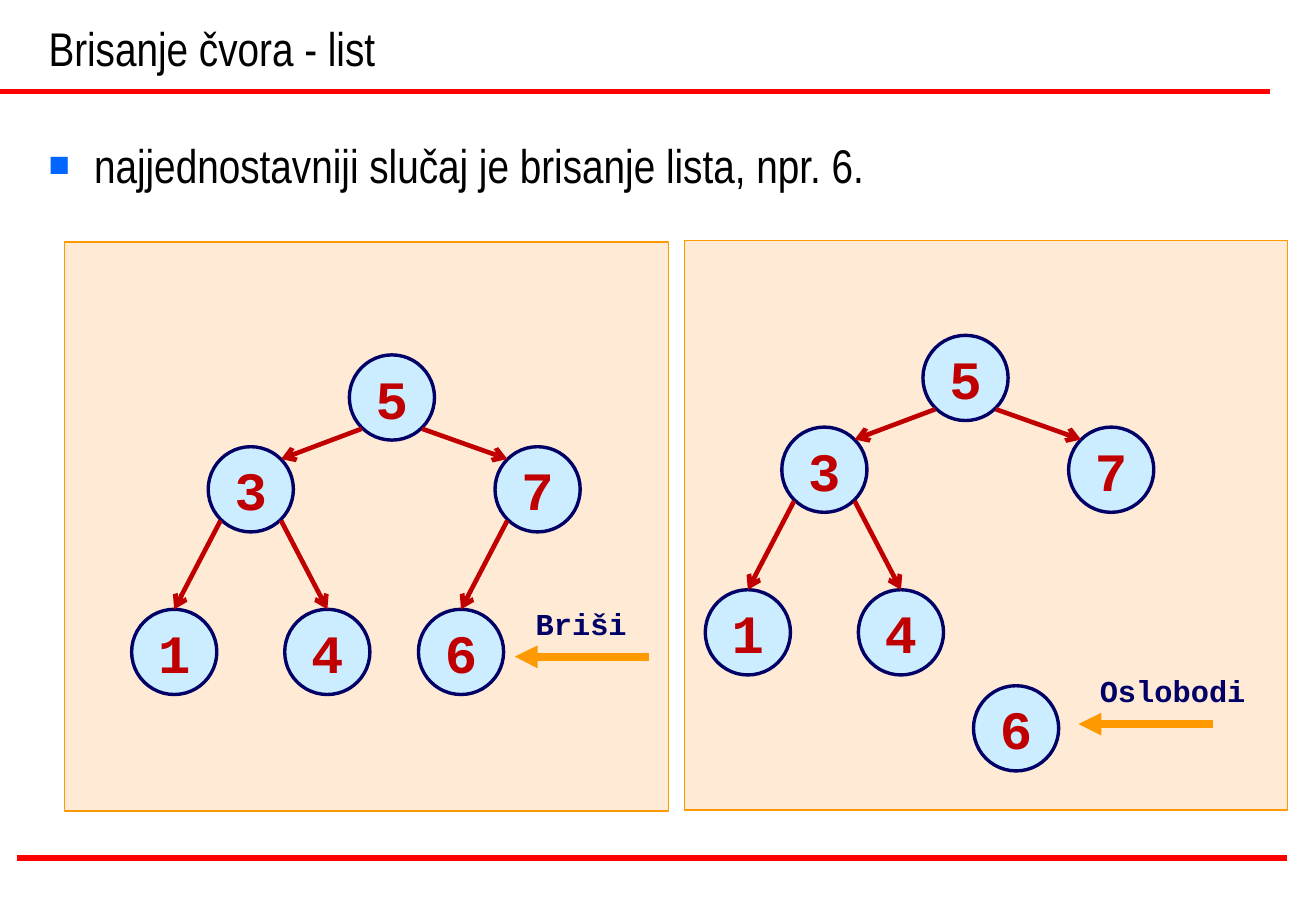
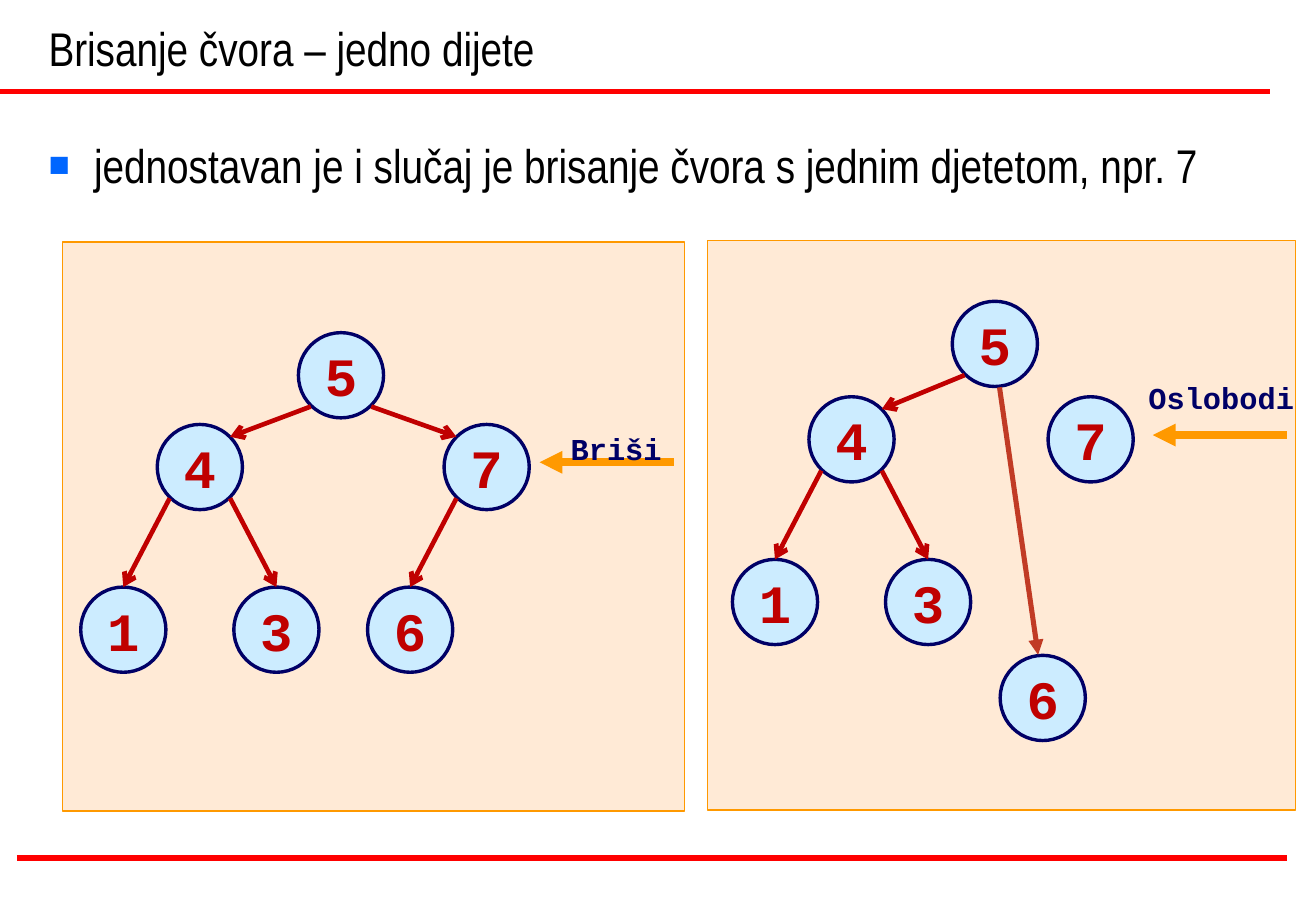
from lxml import etree
from pptx import Presentation
from pptx.dml.color import RGBColor
from pptx.enum.shapes import MSO_CONNECTOR, MSO_SHAPE
from pptx.enum.text import MSO_ANCHOR, PP_ALIGN
from pptx.oxml.ns import qn
from pptx.util import Pt

RECTANGLE, OVAL = MSO_SHAPE.RECTANGLE, MSO_SHAPE.OVAL
STRAIGHT = MSO_CONNECTOR.STRAIGHT
TOP, MIDDLE, BOTTOM = MSO_ANCHOR.TOP, MSO_ANCHOR.MIDDLE, MSO_ANCHOR.BOTTOM
CENTER = PP_ALIGN.CENTER

BLACK = RGBColor(0x00, 0x00, 0x00)
RULE_RED = RGBColor(0xFF, 0x00, 0x00)
EDGE_RED = RGBColor(0xC0, 0x00, 0x00)
RELINK_RED = RGBColor(0xC1, 0x3B, 0x25)
NAVY = RGBColor(0x00, 0x00, 0x66)
NODE_BLUE = RGBColor(0xCC, 0xEC, 0xFF)
PEACH = RGBColor(0xFF, 0xCC, 0x99)
ORANGE = RGBColor(0xFF, 0x99, 0x00)
BULLET_BLUE = "0066FF"
HEADING_FONT, CODE_FONT = "Arial Narrow", "Courier New"

SLIDE_W, SLIDE_H = 780.48, 540
RULES = [(0, 54.4), (10, 508.6)]
RULE_LENGTH = 753.2
PANEL_H = 337.4
NODE = 50.5
MARKER_LENGTH = 79.5

# Offsets from a parent node to its child
LEFT, RIGHT = (-83.7, 54.4), (86.4, 54.4)
LEAF_LEFT, LEAF_RIGHT = (-45.4, 96.4), (45.4, 96.4)

# Node: label, parent, offset from parent, linked to parent.
# Marker: text, tip of its arrow, top left of the text.
SLIDES = [
    {
        "title": "Brisanje čvora - list",
        "bullet": "najjednostavniji slučaj je brisanje lista, npr. 6.",
        "panels": [
            {
                "box": (38.4, 143.4, 358), "root": ("5", 207.2, 210.4),
                "nodes": [("3", "5", LEFT, True), ("7", "5", RIGHT, True),
                          ("1", "3", LEAF_LEFT, True), ("4", "3", LEAF_RIGHT, True),
                          ("6", "7", LEAF_LEFT, True)],
                "marker": ("Briši", (305.3, 389.3), (310.6, 355.3)),
            },
            {
                "box": (406, 142.7, 357.7), "root": ("5", 547.4, 198.8),
                "nodes": [("3", "5", LEFT, True), ("7", "5", RIGHT, True),
                          ("1", "3", LEAF_LEFT, True), ("4", "3", LEAF_RIGHT, True),
                          ("6", "5", (30, 207.7), False)],
                "marker": ("Oslobodi", (639.7, 429.2), (645.2, 394.8)),
            },
        ],
    },
    {
        "title": "Brisanje čvora – jedno dijete",
        "bullet": "jednostavan je i slučaj je brisanje čvora s jednim djetetom, npr. 7",
        "panels": [
            {
                "box": (37, 143.4, 369), "root": ("5", 177, 197.2),
                "nodes": [("4", "5", LEFT, True), ("7", "5", RIGHT, True),
                          ("1", "4", LEAF_LEFT, True), ("3", "4", LEAF_RIGHT, True),
                          ("6", "7", LEAF_LEFT, True)],
                "marker": ("Briši", (320, 274), (331.3, 251.3)),
            },
            {
                "box": (419.8, 142.7, 348.5), "root": ("5", 564.8, 178.6),
                "nodes": [("4", "5", (-85, 56.6), True), ("7", "5", (56.8, 56.6), False),
                          ("1", "4", LEAF_LEFT, True), ("3", "4", LEAF_RIGHT, True),
                          ("6", "5", (28.4, 209.9), False)],
                "marker": ("Oslobodi", (683.7, 257.9), (674, 221.3)),
                "relink": ((592.8, 229.6), (615.7, 388.2)),
            },
        ],
    },
]


def write(frame, text, font_name, size, color, bold=False, anchor=TOP):
    frame.vertical_anchor = anchor
    paragraph = frame.paragraphs[0]
    paragraph.text = text
    font = paragraph.font
    font.name, font.size, font.bold = font_name, Pt(size), bold
    font.color.rgb = color
    return paragraph


def add_text_frame(slide, box, wrap=True):
    frame = slide.shapes.add_textbox(*map(Pt, box)).text_frame
    frame.word_wrap = wrap
    return frame


def add_line(slide, start, end, color, width, head=None):
    line = slide.shapes.add_connector(STRAIGHT, *map(Pt, (*start, *end)))
    line.line.color.rgb = color
    line.line.width = Pt(width)
    properties = line._element.spPr
    if head:
        etree.SubElement(properties.find(qn("a:ln")), qn("a:tailEnd"), type=head)
    etree.SubElement(properties, qn("a:effectLst"))


def add_outlined(slide, preset, box, fill, outline, width):
    shape = slide.shapes.add_shape(preset, *map(Pt, box))
    shape.shadow.inherit = False
    shape.fill.solid()
    shape.fill.fore_color.rgb = fill
    shape.line.color.rgb = outline
    shape.line.width = Pt(width)
    return shape


def add_bullet(paragraph):
    properties = paragraph._p.get_or_add_pPr()
    properties.set("marL", str(Pt(27)))
    properties.set("indent", str(-Pt(27)))
    color = etree.SubElement(properties, qn("a:buClr"))
    etree.SubElement(color, qn("a:srgbClr"), val=BULLET_BLUE)
    etree.SubElement(properties, qn("a:buSzPct"), val="75000")
    etree.SubElement(properties, qn("a:buFont"), typeface="Arial")
    etree.SubElement(properties, qn("a:buChar"), char="■")


def add_frame(slide, title, bullet):
    """Rules, title and bullet that every slide has."""
    for x, y in RULES:
        add_line(slide, (x, y), (x + RULE_LENGTH, y), RULE_RED, 3)
    heading = add_text_frame(slide, (21.7, 0, 731.5, 48.6))
    write(heading, title, HEADING_FONT, 28, BLACK, anchor=BOTTOM)
    body = add_text_frame(slide, (21.7, 77.2, 737.3, 50))
    add_bullet(body.paragraphs[0])
    write(body, bullet, HEADING_FONT, 28, BLACK)


def add_node(slide, label, x, y):
    node = add_outlined(slide, OVAL, (x, y, NODE, NODE), NODE_BLUE, NAVY, 2)
    frame = node.text_frame
    frame.word_wrap = False
    write(frame, label, CODE_FONT, 32, EDGE_RED, True, MIDDLE).alignment = CENTER


def add_edge(slide, parent, child, offset):
    """Arrow from the lower diagonal of the parent to the facing point of the child."""
    dx, dy = offset
    side = 1 if dx > 0 else -1
    radius = NODE / 2
    diagonal = radius * 0.71
    px, py = (value + radius for value in parent)
    cx, cy = (value + radius for value in child)
    start = (px + side * diagonal, py + diagonal + 0.6)
    is_leaf = dy > abs(dx)
    end = (cx, cy - radius) if is_leaf else (cx - side * diagonal, cy - diagonal)
    add_line(slide, start, end, EDGE_RED, 2.75, "arrow")


def add_panel(slide, panel):
    x, y, width = panel["box"]
    background = add_outlined(slide, RECTANGLE, (x, y, width, PANEL_H), PEACH, ORANGE, 0.75)
    fill_color = background._element.spPr.find(qn("a:solidFill"))[0]
    etree.SubElement(fill_color, qn("a:alpha"), val="40000")

    # Tree
    root, root_x, root_y = panel["root"]
    places = {root: (root_x, root_y)}
    add_node(slide, root, root_x, root_y)
    for label, parent, (dx, dy), linked in panel["nodes"]:
        parent_x, parent_y = places[parent]
        places[label] = (parent_x + dx, parent_y + dy)
        add_node(slide, label, *places[label])
        if linked:
            add_edge(slide, places[parent], places[label], (dx, dy))
    if "relink" in panel:
        add_line(slide, *panel["relink"], RELINK_RED, 3, "triangle")

    # Marker of the node being removed
    text, (tip_x, tip_y), place = panel["marker"]
    add_line(slide, (tip_x + MARKER_LENGTH, tip_y), (tip_x, tip_y), ORANGE, 4.5, "triangle")
    text_width = len(text) * 10.8 + 14.4
    caption = add_text_frame(slide, (*place, text_width, 29), wrap=False)
    write(caption, text, CODE_FONT, 18, NAVY, bold=True)


def main():
    deck = Presentation()
    deck.slide_width, deck.slide_height = Pt(SLIDE_W), Pt(SLIDE_H)
    for content in SLIDES:
        slide = deck.slides.add_slide(deck.slide_layouts[6])
        add_frame(slide, content["title"], content["bullet"])
        for panel in content["panels"]:
            add_panel(slide, panel)
    deck.save("out.pptx")


if __name__ == "__main__":
    main()
